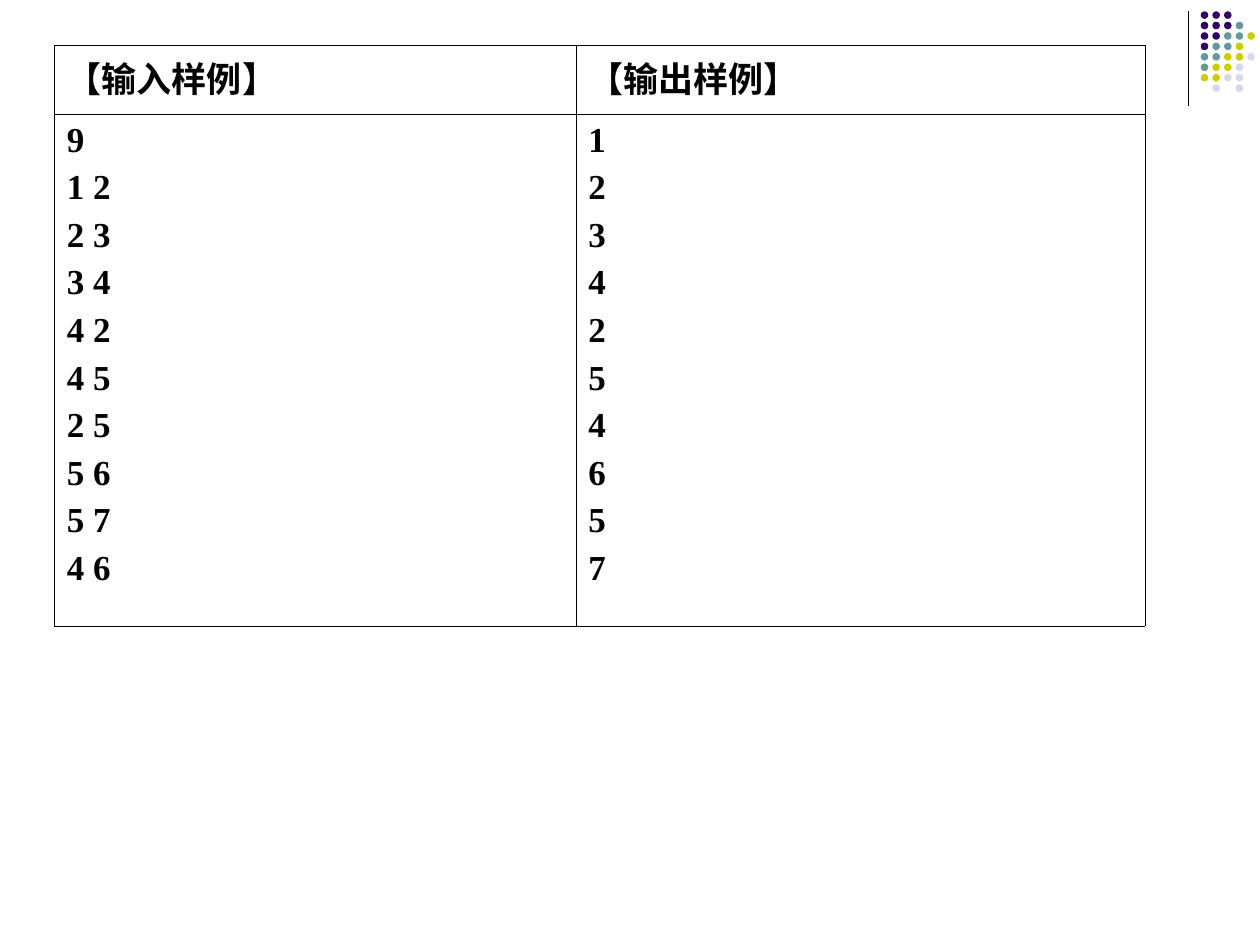
from lxml import etree
from pptx import Presentation
from pptx.dml.color import RGBColor
from pptx.oxml.ns import qn
from pptx.util import Inches, Pt
from pptx.enum import shapes

COLORS = {
    "ink": "000000",
    "P": "330066",
    "T": "669999",
    "Y": "CCCC00",
    "L": "D8D8EC",
}
# One letter per dot; a point leaves the place empty
DOTS = ["PPP..", "PPPT.", "PPTTY", "PTTY.", "TTYYL", "TYYL.", "YYLL.", ".L.L."]
HEADERS = ["【输入样例】", "【输出样例】"]
SAMPLE_INPUT = ["9", "1 2", "2 3", "3 4", "4 2", "4 5", "2 5", "5 6", "5 7", "4 6"]
SAMPLE_OUTPUT = ["1", "2", "3", "4", "2", "5", "4", "6", "5", "7"]


class SlideBuilder:
    cjk_font = "Noto Sans CJK SC"
    latin_font = "Times New Roman"
    size = Pt(20)
    space = Pt(5)
    border = Pt(0.23)

    def __init__(self, slide):
        self.slide = slide

    @staticmethod
    def color(name):
        return RGBColor.from_string(COLORS[name])

    def line(self, group, x1, y1, x2, y2):
        ln = group.shapes.add_connector(
            shapes.MSO_CONNECTOR.STRAIGHT, Inches(x1), Inches(y1), Inches(x2), Inches(y2))
        ln.line.color.rgb = self.color("ink")
        ln.line.width = Pt(0.75)
        etree.SubElement(ln._element.spPr, qn("a:effectLst"))

    def dot(self, group, x, y, name):
        sp = group.shapes.add_shape(
            shapes.MSO_SHAPE.OVAL, Inches(x), Inches(y), Inches(0.06), Inches(0.06))
        sp.shadow.inherit = False
        sp.fill.solid()
        sp.fill.fore_color.rgb = self.color(name)
        sp.line.fill.background()

    def ornament(self):
        group = self.slide.shapes.add_group_shape()
        self.line(group, 9.43, 0.09, 9.43, 0.84)
        step_x, step_y = 0.37 / 4, 0.58 / 7
        for row, names in enumerate(DOTS):
            for col, name in enumerate(names):
                if name != ".":
                    self.dot(group, 9.53 + col * step_x, 0.09 + row * step_y, name)

    def borders(self, cell):
        tc_pr = cell._tc.get_or_add_tcPr()
        for i, side in enumerate(("lnL", "lnR", "lnT", "lnB")):
            ln = etree.Element(qn(f"a:{side}"), w=str(int(self.border)))
            fill = etree.SubElement(ln, qn("a:solidFill"))
            etree.SubElement(fill, qn("a:srgbClr"), val=COLORS["ink"])
            tc_pr.insert(i, ln)

    def cell(self, cell, lines, font):
        cell.fill.background()
        self.borders(cell)
        tf = cell.text_frame
        for i, line in enumerate(lines):
            p = tf.add_paragraph() if i else tf.paragraphs[0]
            if i:
                p.space_before = self.space
            r = p.add_run()
            r.text = line
            r.font.size = self.size
            r.font.bold = True
            r.font.name = font
            r.font.color.rgb = self.color("ink")
            etree.SubElement(r.font._element, qn("a:ea"), typeface=self.cjk_font)

    def table(self, x, y, widths, heights, rows):
        table = self.slide.shapes.add_table(
            len(heights), len(widths), Inches(x), Inches(y),
            Inches(sum(widths)), Inches(sum(heights))).table
        table.first_row = table.horz_banding = False
        for col, width in zip(table.columns, widths):
            col.width = Inches(width)
        for row, height, (font, cells) in zip(table.rows, heights, rows):
            row.height = Inches(height)
            for cell, lines in zip(row.cells, cells):
                self.cell(cell, lines, font)


def main():
    prs = Presentation()
    prs.slide_width, prs.slide_height = Inches(10), Inches(7.5)
    s = SlideBuilder(prs.slides.add_slide(prs.slide_layouts[6]))

    # Corner ornament
    s.ornament()

    # Sample input and output
    s.table(0.43, 0.36, [4.14, 4.52], [0.55, 4.06], [
        (s.cjk_font, [[header] for header in HEADERS]),
        (s.latin_font, [SAMPLE_INPUT, SAMPLE_OUTPUT]),
    ])
    prs.save("out.pptx")


if __name__ == "__main__":
    main()
